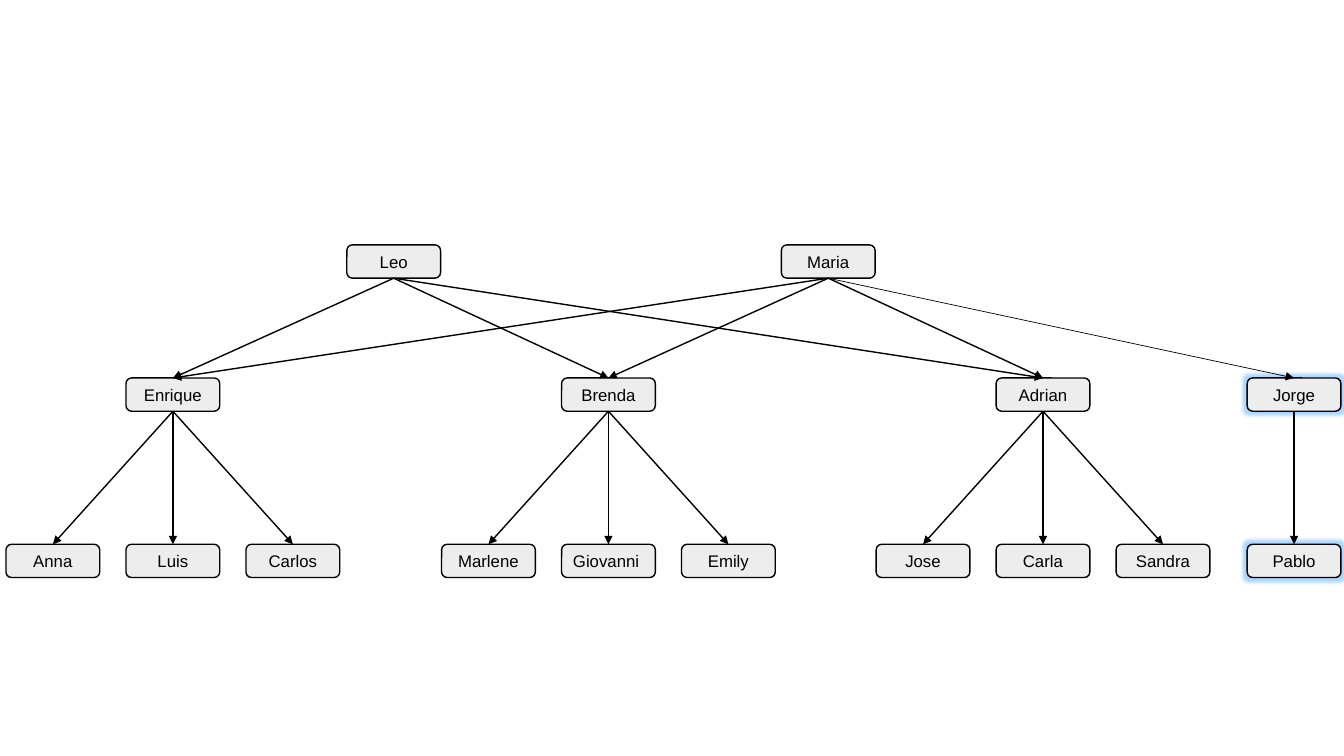
from dataclasses import dataclass

from lxml.etree import SubElement
from pptx import Presentation
from pptx.dml.color import RGBColor
from pptx.enum.shapes import MSO_CONNECTOR as Connector, MSO_SHAPE as Shape
from pptx.enum.text import MSO_ANCHOR as Anchor, PP_ALIGN as Align
from pptx.oxml.ns import qn
from pptx.util import Inches, Pt


@dataclass(frozen=True)
class Theme:
    fill: RGBColor = RGBColor(0xED, 0xED, 0xED)
    ink: RGBColor = RGBColor(0, 0, 0)
    glow: str = "3399FF"
    glow_alpha: str = "40000"
    glow_radius: int = Pt(5)
    font: str = "Arial"
    size: int = Pt(12)
    line: int = Pt(1)
    thin_line: int = Pt(0.5)


THEME = Theme()
BOX_WIDTH, BOX_HEIGHT = 0.93, 0.33
CHILD_GAP = 1.19
TOP, BOTTOM = 0, 2  # connection sites of a box

# Generations: vertical offset within the tree
PARENT_Y, CHILD_Y, GRANDCHILD_Y = 0, 1.32, 2.97
PARENTS = {"Leo": 3.44, "Maria": 7.75}
# Child: (left, grandchildren)
FAMILIES = {
    "Enrique": (1.25, ["Anna", "Luis", "Carlos"]),
    "Brenda": (5.57, ["Marlene", "Giovanni ", "Emily"]),
    "Adrian": (9.88, ["Jose", "Carla", "Sandra"]),
    "Jorge": (12.37, ["Pablo"]),
}
HALF_SIBLING = "Jorge"  # Maria's child only, highlighted with his own child


def set_values(target, values):
    for name, value in values.items():
        setattr(target, name, value)


def add_glow(box):
    effects = box._element.spPr.find(qn("a:effectLst"))
    glow = SubElement(effects, qn("a:glow"), rad=str(THEME.glow_radius))
    color = SubElement(glow, qn("a:srgbClr"), val=THEME.glow)
    SubElement(color, qn("a:alpha"), val=THEME.glow_alpha)


def add_person(page, name, left, top, highlighted=False):
    box = page.shapes.add_shape(Shape.ROUNDED_RECTANGLE, Inches(left), Inches(top),
                                Inches(BOX_WIDTH), Inches(BOX_HEIGHT))
    box.shadow.inherit = False
    box.fill.solid()
    box.fill.fore_color.rgb = THEME.fill
    box.line.color.rgb = THEME.ink
    box.line.width = THEME.line
    set_values(box.text_frame, {
        "word_wrap": True, "vertical_anchor": Anchor.MIDDLE,
        "margin_left": Inches(0.05), "margin_right": Inches(0.05),
        "margin_top": 0, "margin_bottom": 0,
    })
    para = box.text_frame.paragraphs[0]
    para.alignment = Align.CENTER
    span = para.add_run()
    span.text = name
    set_values(span.font, {"name": THEME.font, "size": THEME.size})
    span.font.color.rgb = THEME.ink
    if highlighted:
        add_glow(box)
    return box


def add_arrow(page, elder, younger, width=THEME.line):
    arrow = page.shapes.add_connector(Connector.STRAIGHT, 0, 0, 0, 0)
    arrow.begin_connect(elder, BOTTOM)
    arrow.end_connect(younger, TOP)
    arrow.line.color.rgb = THEME.ink
    arrow.line.width = width
    SubElement(arrow.line._get_or_add_ln(), qn("a:tailEnd"), type="triangle")
    SubElement(arrow._element.spPr, qn("a:effectLst"))


def add_family_tree(page, left, top):
    # Boxes, with grandchildren centred below their parent
    parents = {name: add_person(page, name, left + x, top + PARENT_Y)
               for name, x in PARENTS.items()}
    links = []
    for child, (x, names) in FAMILIES.items():
        special = child == HALF_SIBLING
        child_box = add_person(page, child, left + x, top + CHILD_Y, special)
        for parent, parent_box in parents.items():
            if not special:
                links.append((parent_box, child_box, THEME.line))
            elif parent == "Maria":
                links.append((parent_box, child_box, THEME.thin_line))
        for index, name in enumerate(names):
            offset = (index - (len(names) - 1) / 2) * CHILD_GAP
            box = add_person(page, name, left + x + offset, top + GRANDCHILD_Y, special)
            links.append((child_box, box, THEME.line))

    # Arrows from each elder to the next generation
    for elder, younger, width in links:
        add_arrow(page, elder, younger, width)


deck = Presentation()
set_values(deck, {"slide_width": Inches(13.33), "slide_height": Inches(7.5)})
page = deck.slides.add_slide(deck.slide_layouts[6])
add_family_tree(page, left=0, top=2.43)
deck.save("out.pptx")
